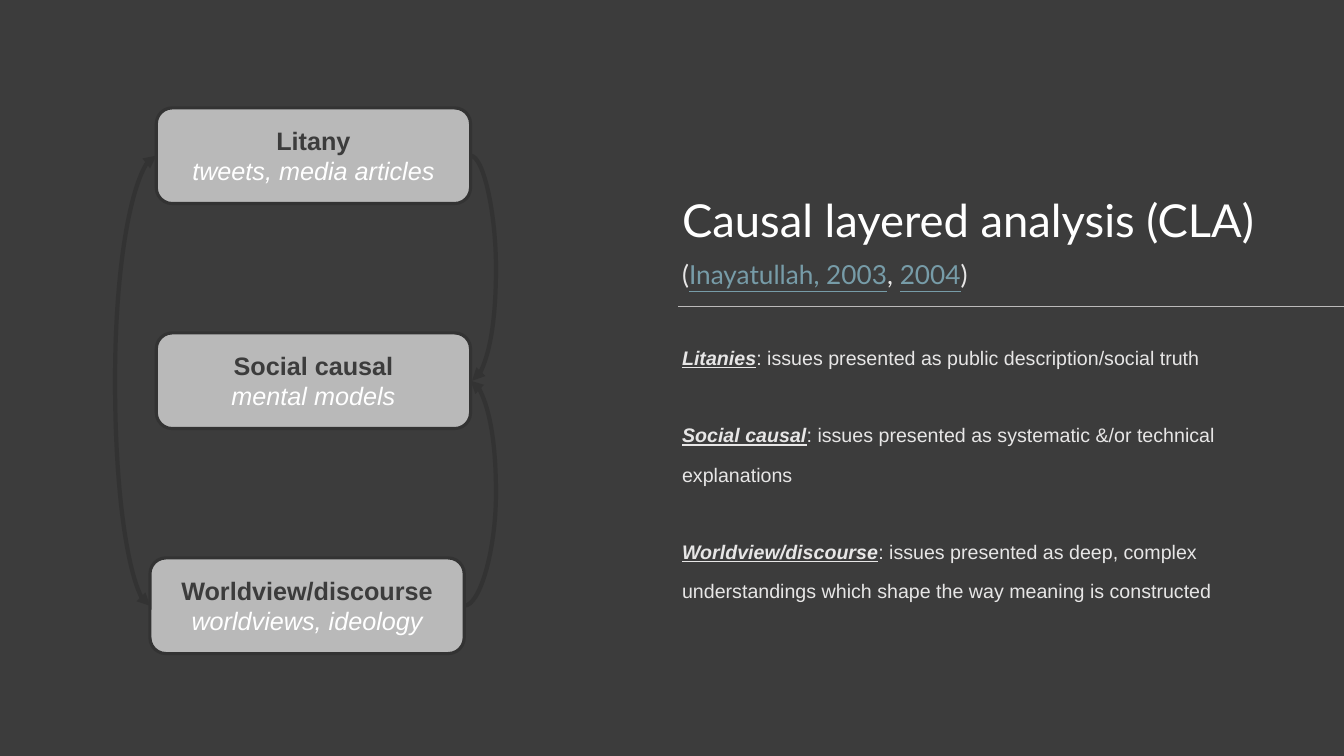
from lxml import etree
from pptx import Presentation
from pptx.dml.color import RGBColor
from pptx.enum.shapes import MSO_CONNECTOR as CONN, MSO_SHAPE as SHAPE
from pptx.enum.text import MSO_ANCHOR as ANCHOR, PP_ALIGN as ALIGN
from pptx.oxml.ns import qn
from pptx.util import Cm, Pt

DARK = RGBColor(0x3C, 0x3C, 0x3C)
EDGE = RGBColor(0x33, 0x33, 0x33)
BOX = RGBColor(0xB9, 0xB9, 0xB9)
RULE = RGBColor(0xBC, 0xBA, 0xBA)
WHITE = RGBColor(0xFF, 0xFF, 0xFF)
PALE = RGBColor(0xE7, 0xE6, 0xE6)
LINK = RGBColor(0x77, 0x9C, 0xA8)

BOX_W, BOX_H, BOX_TOP, BOX_STEP = 7.92, 2.41, 2.72, 5.67
LAYERS = [
    ("Litany", "tweets, media articles", 3.94),
    ("Social causal", "mental models", 3.94),
    ("Worldview/discourse", "worldviews, ideology", 3.78),
]
DEFINITIONS = [
    ("Litanies", ": issues presented as public description/social truth"),
    ("Social causal", ": issues presented as systematic &/or technical explanations"),
    ("Worldview/discourse", ": issues presented as deep, complex understandings "
                            "which shape the way meaning is constructed"),
]


def add_run(p, text, size, font, color, bold=False, italic=False, underline=False):
    r = p.add_run()
    r.text = text
    f = r.font
    f.size, f.name, f.color.rgb = Pt(size), font, color
    f.bold, f.italic, f.underline = bold, italic, underline


def add_text(s, x, y, w, h, anchor=ANCHOR.TOP):
    tf = s.shapes.add_textbox(Cm(x), Cm(y), Cm(w), Cm(h)).text_frame
    tf.word_wrap = True
    tf.vertical_anchor = anchor
    return tf


def add_layer(s, name, examples, x, y):
    sp = s.shapes.add_shape(SHAPE.ROUNDED_RECTANGLE, Cm(x), Cm(y), Cm(BOX_W), Cm(BOX_H))
    sp.shadow.inherit = False
    sp.fill.solid()
    sp.fill.fore_color.rgb = BOX
    sp.line.color.rgb = EDGE
    sp.line.width = Pt(2.25)
    tf = sp.text_frame
    tf.word_wrap = True
    tf.vertical_anchor = ANCHOR.MIDDLE
    p = tf.paragraphs[0]
    p.alignment = ALIGN.CENTER
    add_run(p, name, 18, "Arial", DARK, bold=True)
    p = tf.add_paragraph()
    p.alignment = ALIGN.CENTER
    add_run(p, examples, 18, "Arial", WHITE, italic=True)


def add_line(s, kind, x1, y1, x2, y2, color, width):
    c = s.shapes.add_connector(kind, Cm(x1), Cm(y1), Cm(x2), Cm(y2))
    c.line.color.rgb = color
    c.line.width = Pt(width)
    etree.SubElement(c._element.spPr, qn("a:effectLst"))
    return c


def add_arc(s, x1, y1, x2, y2, bulge_x, ends):
    c = add_line(s, CONN.CURVE, x1, y1, x2, y2, EDGE, 3)
    geom = c._element.spPr.find(qn("a:prstGeom"))
    guides = geom.find(qn("a:avLst"))
    if guides is None:
        guides = etree.SubElement(geom, qn("a:avLst"))
    bend = round((bulge_x - x1) / (x2 - x1) * 100000)
    etree.SubElement(guides, qn("a:gd"), name="adj1", fmla=f"val {bend}")
    ln = c.line._get_or_add_ln()
    for end in ends:
        etree.SubElement(ln, qn(f"a:{end}"), type="triangle")


def add_definitions(s):
    tf = add_text(s, 16.94, 8.2, 14.5, 8.03)
    for i, (term, meaning) in enumerate(DEFINITIONS):
        p = tf.paragraphs[0] if i == 0 else tf.add_paragraph()
        p.line_spacing = 1.67
        p.space_before = Pt(27 if i else 0)
        add_run(p, term, 14, "Arial", PALE, bold=True, italic=True, underline=True)
        add_run(p, meaning, 14, "Arial", PALE)


def add_heading(s):
    p = add_text(s, 16.94, 4.24, 16.15, 2.11, ANCHOR.BOTTOM).paragraphs[0]
    p.line_spacing = 0.9
    add_run(p, "Causal layered analysis (CLA)", 32.4, "Lato", WHITE)
    p = add_text(s, 16.94, 6.15, 16.76, 1.3).paragraphs[0]
    p.alignment = ALIGN.JUSTIFY
    p.line_spacing = 1.3
    for text, linked in [("(", False), ("Inayatullah, 2003", True), (", ", False),
                         ("2004", True), (")", False)]:
        add_run(p, text, 18.7, "Lato", LINK if linked else PALE, underline=linked)


def main():
    prs = Presentation()
    prs.slide_width, prs.slide_height = Cm(33.87), Cm(19.05)
    s = prs.slides.add_slide(prs.slide_layouts[6])
    s.background.fill.solid()
    s.background.fill.fore_color.rgb = DARK

    add_line(s, CONN.STRAIGHT, 17.09, 7.72, 33.87, 7.72, RULE, 0.5)
    add_heading(s)
    add_definitions(s)
    for i, (name, examples, x) in enumerate(LAYERS):
        add_layer(s, name, examples, x, BOX_TOP + i * BOX_STEP)

    top, middle, bottom = [BOX_TOP + BOX_H / 2 + i * BOX_STEP for i in range(3)]
    upper_x, lower_x = LAYERS[0][2], LAYERS[2][2]
    upper_right, lower_right = upper_x + BOX_W, lower_x + BOX_W
    add_arc(s, lower_x, bottom, upper_x, top, 2.9, ["headEnd", "tailEnd"])
    add_arc(s, upper_right, top, upper_right + 0.04, middle, 12.5, ["tailEnd"])
    add_arc(s, lower_right, bottom, upper_right, middle, 12.5, ["tailEnd"])
    prs.save("out.pptx")


if __name__ == "__main__":
    main()
